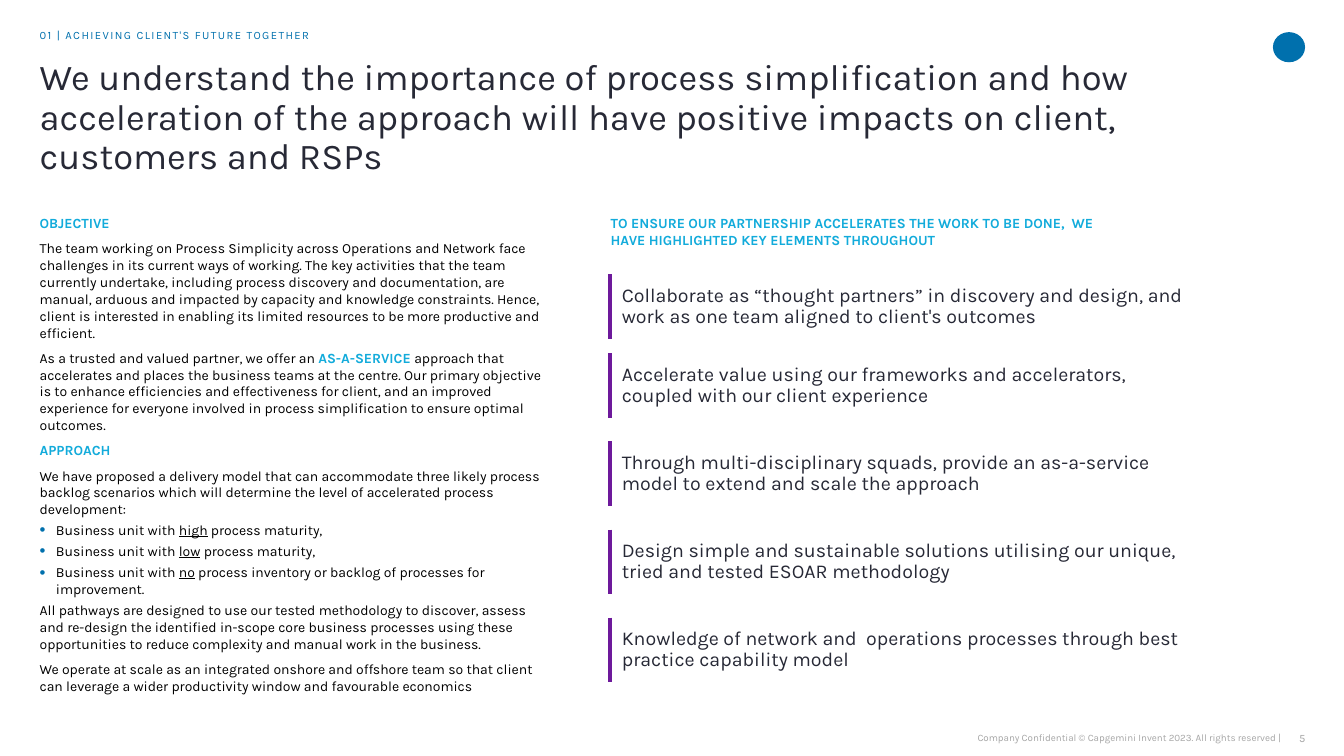
from dataclasses import dataclass

from lxml import etree
from pptx import Presentation
from pptx import util as u
from pptx.dml.color import RGBColor
from pptx.enum import shapes, text
from pptx.oxml import ns

COLORS = {
    "ink": "272936",
    "black": "000000",
    "cyan": "12ABDB",
    "blue": "0070AD",
    "purple": "6D199B",
    "grey": "A6A6A6",
}
FONT = "Karla"
MARGIN = 1.0
COLUMN_WIDTH = 12.73
RIGHT_COLUMN = 15.37


@dataclass(frozen=True)
class Span:
    words: str
    color: str = "black"
    bold: bool = False
    underline: bool = False


@dataclass(frozen=True)
class Passage:
    spans: tuple[Span, ...]
    space_before: float = 6
    bulleted: bool = False


@dataclass(frozen=True)
class KeyElement:
    words: str
    top: float


def heading(words: str) -> Passage:
    return Passage((Span(words, "cyan", bold=True),))


def scenario(maturity: str, ending: str) -> Passage:
    spans = (Span("Business unit with "), Span(maturity, underline=True), Span(ending))
    return Passage(spans, space_before=3, bulleted=True)


PASSAGES = (
    heading("OBJECTIVE"),
    Passage((Span("The team working on Process Simplicity across Operations and Network face challenges in its current ways of working. The key activities that the team currently undertake, including process discovery and documentation, are manual, arduous and impacted by capacity and knowledge constraints. Hence, client is interested in enabling its limited resources to be more productive and efficient."),)),
    Passage((
        Span("As a trusted and valued partner, we offer an "),
        Span("AS-A-SERVICE ", "cyan", bold=True),
        Span("approach that accelerates and places the business teams at the centre. Our primary objective is to enhance efficiencies and effectiveness for client, and an improved experience for everyone involved in process simplification to ensure optimal outcomes."),
    )),
    heading("APPROACH"),
    Passage((Span("We have proposed a delivery model that can accommodate three likely process backlog scenarios which will determine the level of accelerated process development:"),)),
    scenario("high", " process maturity,"),
    scenario("low", " process maturity,"),
    scenario("no", " process inventory or backlog of processes for improvement."),
    Passage((Span("All pathways are designed to use our tested methodology to discover, assess and re-design the identified in-scope core business processes using these opportunities to reduce complexity and manual work in the business."),), space_before=3),
    Passage((Span("We operate at scale as an integrated onshore and offshore team so that client can leverage a wider productivity window and favourable economics"),)),
)

KEY_ELEMENTS = (
    KeyElement("Collaborate as “thought partners” in discovery and design, and work as one team aligned to client's outcomes", 6.93),
    KeyElement("Accelerate value using our frameworks and accelerators, coupled with our client experience", 8.92),
    KeyElement("Through multi-disciplinary squads, provide an as-a-service model to extend and scale the approach", 11.14),
    KeyElement("Design simple and sustainable solutions utilising our unique, tried and tested ESOAR methodology", 13.36),
    KeyElement("Knowledge of network and  operations processes through best practice capability model", 15.58),
)


def rgb(color: str) -> RGBColor:
    return RGBColor.from_string(COLORS[color])


def write(paragraph, words: str, *, size: float = 10, color: str = "black",
          bold: bool = False, underline: bool = False, tracking: float = 0) -> None:
    run = paragraph.add_run()
    run.text = words
    run.font.name = FONT
    run.font.size = u.Pt(size)
    run.font.bold = bold
    run.font.underline = underline
    run.font.color.rgb = rgb(color)
    if tracking:
        run.font._element.set("spc", str(round(tracking * 100)))


def prepare(frame, anchor=text.MSO_ANCHOR.TOP) -> None:
    frame.word_wrap = True
    frame.auto_size = text.MSO_AUTO_SIZE.NONE
    frame.vertical_anchor = anchor
    frame.margin_left = frame.margin_top = frame.margin_right = frame.margin_bottom = 0


def add_frame(slide, left: float, top: float, width: float, height: float,
              anchor=text.MSO_ANCHOR.TOP):
    box = slide.shapes.add_textbox(u.Cm(left), u.Cm(top), u.Cm(width), u.Cm(height))
    prepare(box.text_frame, anchor)
    return box.text_frame


def add_bullet(paragraph) -> None:
    properties = paragraph._p.get_or_add_pPr()
    indent = u.Cm(0.41)
    properties.set("marL", str(indent))
    properties.set("indent", str(-indent))
    tint = etree.SubElement(properties, ns.qn("a:buClr"))
    etree.SubElement(tint, ns.qn("a:srgbClr"), val=COLORS["blue"])
    etree.SubElement(properties, ns.qn("a:buSzPct"), val="120000")
    etree.SubElement(properties, ns.qn("a:buFont"), typeface="Arial")
    etree.SubElement(properties, ns.qn("a:buChar"), char="•")


def add_title(slide) -> None:
    title = slide.shapes.title
    title.left, title.top = u.Cm(MARGIN), u.Cm(1.5)
    title.width, title.height = u.Cm(29.49), u.Cm(1)
    prepare(title.text_frame)
    headline = title.text_frame.paragraphs[0]
    headline.alignment = text.PP_ALIGN.LEFT
    headline.line_spacing = 0.9
    write(headline, "We understand the importance of process simplification and how acceleration of the approach will have positive impacts on client, customers and RSPs", size=26, color="ink")


def add_story(slide) -> None:
    story = add_frame(slide, MARGIN, 5.41, COLUMN_WIDTH, 13)
    for index, passage in enumerate(PASSAGES):
        paragraph = story.add_paragraph() if index else story.paragraphs[0]
        if passage.bulleted:
            add_bullet(paragraph)
        if index:
            paragraph.space_before = u.Pt(passage.space_before)
        for span in passage.spans:
            write(paragraph, span.words, color=span.color, bold=span.bold,
                  underline=span.underline)


def add_key_element(slide, element: KeyElement) -> None:
    table = slide.shapes.add_table(1, 1, u.Cm(RIGHT_COLUMN), u.Cm(element.top),
                                   u.Cm(14.48), u.Cm(1.6)).table
    table.first_row = table.horz_banding = False
    cell = table.cell(0, 0)
    cell.margin_left = u.Cm(0.3)
    cell.margin_top = cell.margin_right = cell.margin_bottom = 0
    cell.vertical_anchor = text.MSO_ANCHOR.MIDDLE
    cell.fill.background()
    bar = etree.Element(ns.qn("a:lnL"), w=str(u.Pt(3)))
    paint = etree.SubElement(bar, ns.qn("a:solidFill"))
    etree.SubElement(paint, ns.qn("a:srgbClr"), val=COLORS["purple"])
    cell._tc.get_or_add_tcPr().insert(0, bar)
    statement = cell.text_frame.paragraphs[0]
    statement.line_spacing = 0.9
    statement.space_after = u.Pt(6)
    write(statement, element.words, size=14, color="ink")


def add_footer(slide, words: str, left: float, width: float, size: float) -> None:
    footer = add_frame(slide, left, 18.29, width, 0.61, text.MSO_ANCHOR.MIDDLE)
    footer.paragraphs[0].alignment = text.PP_ALIGN.RIGHT
    write(footer.paragraphs[0], words, size=size, color="grey")


def add_emblem(slide) -> None:
    emblem = slide.shapes.add_shape(shapes.MSO_SHAPE.OVAL, u.Cm(32.08), u.Cm(0.81),
                                    u.Cm(0.81), u.Cm(0.76))
    emblem.shadow.inherit = False
    emblem.fill.solid()
    emblem.fill.fore_color.rgb = rgb("blue")
    emblem.line.fill.background()


def main() -> None:
    deck = Presentation()
    deck.slide_width, deck.slide_height = u.Cm(33.87), u.Cm(19.05)
    slide = deck.slides.add_slide(deck.slide_layouts.get_by_name("Title Only"))
    add_footer(slide, "5", 32.26, 0.64, 8)
    add_footer(slide, "Company Confidential © Capgemini Invent 2023. All rights reserved |", 24.23, 8.05, 7)
    add_emblem(slide)
    add_title(slide)
    add_story(slide)
    section = add_frame(slide, MARGIN, 0.71, 29.49, 0.51)
    write(section.paragraphs[0], "01 | ACHIEVING CLIENT'S FUTURE TOGETHER", size=8, color="blue", tracking=1)
    promise = add_frame(slide, RIGHT_COLUMN + 0.02, 5.4, COLUMN_WIDTH, 0.79)
    write(promise.paragraphs[0], "TO ENSURE OUR PARTNERSHIP ACCELERATES THE WORK TO BE DONE,  WE HAVE HIGHLIGHTED KEY ELEMENTS THROUGHOUT", color="cyan", bold=True)
    for element in KEY_ELEMENTS:
        add_key_element(slide, element)
    deck.save("out.pptx")


if __name__ == "__main__":
    main()
